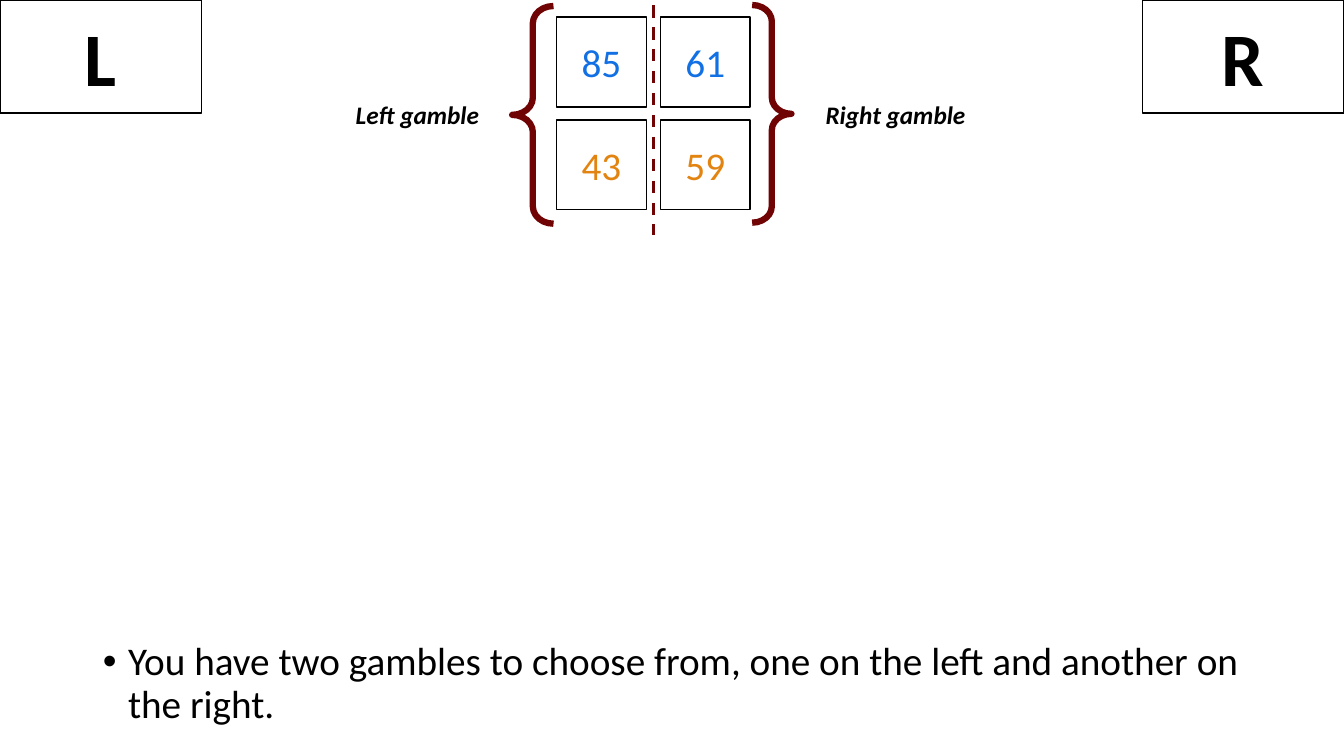
from pptx import Presentation
from pptx.dml.color import RGBColor
from pptx.enum.dml import MSO_LINE
from pptx.enum.shapes import MSO_CONNECTOR, MSO_SHAPE
from pptx.enum.text import MSO_ANCHOR, MSO_AUTO_SIZE, PP_ALIGN
from pptx.oxml.ns import qn
from pptx.util import Inches, Pt
from lxml.etree import SubElement

COLORS = {
    "black": "000000",
    "white": "FFFFFF",
    "red": "700404",
    "blue": "1170E3",
    "orange": "E38411",
}


def write(frame, text, size, color="black", bold=False, italic=False):
    line = frame.paragraphs[0]
    line.text = text
    font = line.font
    font.name = "Calibri"
    font.size = Pt(size)
    font.bold = bold
    font.italic = italic
    font.color.rgb = RGBColor.from_string(COLORS[color])
    return line


def add_box(shapes, text, left, top, width, height, size, color="black", bold=False):
    box = shapes.add_shape(MSO_SHAPE.RECTANGLE, Inches(left), Inches(top),
                           Inches(width), Inches(height))
    box.shadow.inherit = False
    box.fill.background()
    box.line.color.rgb = RGBColor.from_string(COLORS["black"])
    box.line.width = Pt(1)
    box.text_frame.vertical_anchor = MSO_ANCHOR.MIDDLE
    write(box.text_frame, text, size, color, bold).alignment = PP_ALIGN.CENTER
    return box


deck = Presentation()
deck.slide_width = Inches(13.33)
deck.slide_height = Inches(7.5)
slide = deck.slides.add_slide(deck.slide_layouts[1])
title = slide.shapes.title
title.element.getparent().remove(title.element)

body = slide.placeholders[1]
body.left, body.top = Inches(0.92), Inches(6.32)
body.width, body.height = Inches(11.5), Inches(1.02)
body.text_frame.auto_size = MSO_AUTO_SIZE.NONE
point = body.text_frame.paragraphs[0]
props = point._p.get_or_add_pPr()
props.set("marL", str(Inches(0.25)))
props.set("indent", str(-Inches(0.25)))
SubElement(props, qn("a:buFont")).set("typeface", "Arial")
SubElement(props, qn("a:buChar")).set("char", "•")
write(body.text_frame,
      "You have two gambles to choose from, one on the left and another on the right.", 28)
point.line_spacing = 0.9
point.space_before = Pt(0)

for text, left in [("L", 0), ("R", 11.33)]:
    key = add_box(slide.shapes, text, left, 0, 2, 1.12, 54, bold=True)
    key.fill.solid()
    key.fill.fore_color.rgb = RGBColor.from_string(COLORS["white"])

gambles = [
    ("Left gamble", 3.43, 1.47, MSO_SHAPE.LEFT_BRACE, 5.08, 0.06, 0.41, 5.52, ["85", "43"]),
    ("Right gamble", 8.09, 1.74, MSO_SHAPE.RIGHT_BRACE, 7.46, 0.05, 0.39, 6.55, ["61", "59"]),
]
for name, x, width, kind, edge, top, span, left, values in gambles:
    group = slide.shapes.add_group_shape().shapes
    brace = group.add_shape(kind, Inches(edge), Inches(top), Inches(span), Inches(2.16))
    brace.shadow.inherit = False
    brace.adjustments[0] = 0.417
    brace.fill.background()
    brace.line.color.rgb = RGBColor.from_string(COLORS["red"])
    brace.line.width = Pt(4.5)

    label = group.add_textbox(Inches(x), Inches(0.94), Inches(width), Inches(0.4))
    label.text_frame.word_wrap = False
    label.text_frame.auto_size = MSO_AUTO_SIZE.SHAPE_TO_FIT_TEXT
    write(label.text_frame, name, 18, bold=True, italic=True)

    for row, (value, color) in enumerate(zip(values, ["blue", "orange"])):
        add_box(group, value, left, 0.17 + row * 1.02, 0.89, 0.89, 28, color)

split = slide.shapes.add_connector(MSO_CONNECTOR.STRAIGHT, Inches(6.48), Inches(0.05),
                                   Inches(6.48), Inches(2.33))
split.line.color.rgb = RGBColor.from_string(COLORS["red"])
split.line.width = Pt(2.25)
split.line.dash_style = MSO_LINE.DASH
SubElement(split.element.spPr, qn("a:effectLst"))

deck.save("out.pptx")
